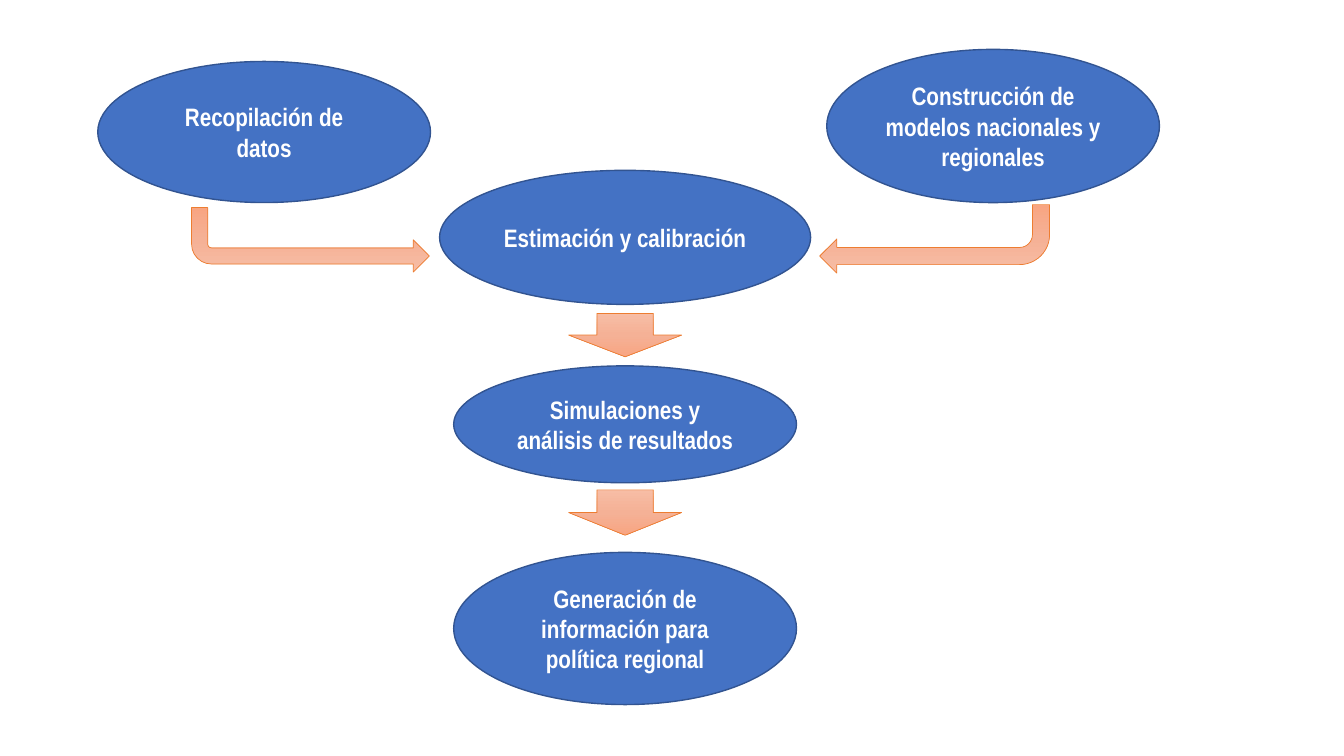
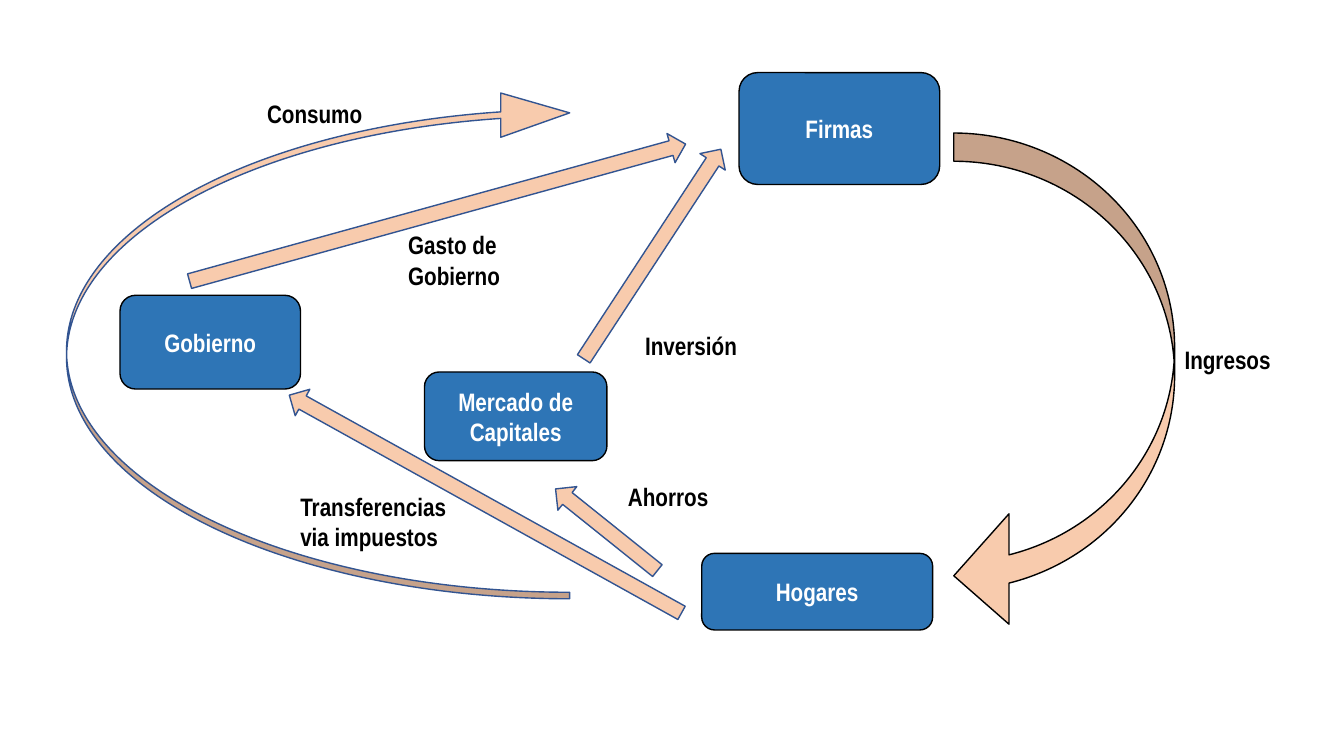
import copy
import math
from dataclasses import dataclass

import pptx
import pptx.util
import pptx.dml.color
import pptx.enum.shapes
import pptx.enum.text

Inches = pptx.util.Inches
SHAPE = pptx.enum.shapes.MSO_SHAPE
ALIGN = pptx.enum.text.PP_ALIGN


@dataclass(frozen=True)
class Theme:
    font: str = "Arial Narrow"
    size: int = 18
    light: str = "FFFFFF"
    dark: str = "000000"
    stage: str = "4472C4"
    outline: str = "325491"
    sector: str = "2E75B6"
    flow: str = "F8CBAD"
    step_line: str = "ED7D31"
    step_stops: tuple = ((0, "F7BDA5"), (0.5, "F5B196"), (1, "F8A582"))


THEME = Theme()
SLIDE_W, SLIDE_H = 13.33, 7.5

# Slide 1: stages as (text, left, top, width, height); the column is centred
COLUMN_X = 6.2
SOURCES = [
    ("Recopilación de datos", 0.97, 0.61, 3.3, 1.4),
    ("Construcción de modelos nacionales y regionales", 8.2, 0.49, 3.3, 1.52),
]
COLUMN = [  # text, top, width, height
    ("Estimación y calibración", 1.69, 3.68, 1.33),
    ("Simulaciones y análisis de resultados", 3.63, 3.4, 1.16),
    ("Generación de información para política regional", 5.48, 3.4, 1.51),
]
DOWN_STEPS = [(3.11, 0.43), (4.86, 0.45)]  # top, height
DOWN_STEP_W = 1.12

# Slide 2: sectors, flows between them and the names of the flows
SECTORS = [
    ("Gobierno", 1.19, 2.93, 1.79, 0.93),
    ("Hogares", 6.96, 5.49, 2.29, 0.76),
    ("Firmas", 7.33, 0.72, 1.99, 1.11),
    ("Mercado de Capitales", 4.21, 3.69, 1.81, 0.88),
]
STRAIGHT_FLOWS = [  # tail, tip
    ((6.52, 5.66), (5.51, 4.85)),
    ((5.79, 3.56), (7.15, 1.48)),
    ((1.88, 2.79), (6.8, 1.43)),
    ((6.76, 6.08), (2.87, 3.92)),
]
FLOW_THICKNESS = 0.3
FLOW_NAMES = [
    ("Ingresos", 11.65, 3.37, 1.31, 0.4),
    ("Inversión", 6.3, 3.23, 1.31, 0.4),
    ("Ahorros", 6.13, 4.73, 1.31, 0.4),
    ("Transferencias via impuestos", 2.88, 4.82, 1.96, 0.71),
    ("Consumo", 2.55, 0.93, 1.31, 0.4),
    ("Gasto de Gobierno", 3.95, 2.23, 1.44, 0.71),
]


def rgb(value):
    return pptx.dml.color.RGBColor.from_string(value)


def write(sp, text, color, align):
    tf = sp.text_frame
    tf.word_wrap = True
    tf.text = text
    p = tf.paragraphs[0]
    p.alignment = align
    font = p.runs[0].font
    font.name, font.size, font.bold = THEME.font, pptx.util.Pt(THEME.size), True
    font.color.rgb = rgb(color)


def add_shape(s, kind, box, fill, line, weight=1, rotation=0, adjust=()):
    """Add a preset shape; a fill of None leaves the fill to the caller."""
    sp = s.shapes.add_shape(kind, *map(Inches, box))
    sp.shadow.inherit = False
    sp.rotation = rotation
    for i, value in enumerate(adjust):
        sp.adjustments[i] = value
    if fill:
        sp.fill.solid()
        sp.fill.fore_color.rgb = rgb(fill)
    sp.line.color.rgb = rgb(line)
    sp.line.width = pptx.util.Pt(weight)
    return sp


def add_node(s, kind, text, box, fill, line):
    sp = add_shape(s, kind, box, fill, line)
    sp.text_frame.vertical_anchor = pptx.enum.text.MSO_ANCHOR.MIDDLE
    write(sp, text, THEME.light, ALIGN.CENTER)


def add_step(s, kind, box, **options):
    """Add a block arrow with the three-stop vertical gradient."""
    sp = add_shape(s, kind, box, None, THEME.step_line, 0.5, **options)
    sp.fill.gradient()
    sp.fill.gradient_angle = 270  # counter-clockwise: runs from top to bottom
    stop_list = sp._element.spPr.find(".//" + pptx.oxml.ns.qn("a:gsLst"))
    stop_list.append(copy.deepcopy(stop_list[0]))
    for stop, (position, color) in zip(sp.fill.gradient_stops, THEME.step_stops):
        stop.position = position
        stop.color.rgb = rgb(color)
    return sp


def add_straight_flow(s, tail, tip):
    dx, dy = tip[0] - tail[0], tip[1] - tail[1]
    length = math.hypot(dx, dy)
    left = (tail[0] + tip[0] - length) / 2
    top = (tail[1] + tip[1] - FLOW_THICKNESS) / 2
    add_shape(s, SHAPE.RIGHT_ARROW, (left, top, length, FLOW_THICKNESS),
              THEME.flow, THEME.outline,
              rotation=math.degrees(math.atan2(dy, dx)) % 360)


def build_process(s):
    stages = SOURCES + [(text, COLUMN_X - w / 2, top, w, h)
                        for text, top, w, h in COLUMN]
    for text, *box in stages:
        add_node(s, SHAPE.OVAL, text, box, THEME.stage, THEME.outline)
    add_step(s, SHAPE.BENT_ARROW, (8.13, 2.03, 2.28, 0.68), rotation=180)
    left_step = add_step(s, SHAPE.BENT_ARROW, (1.9, 2.06, 2.36, 0.64),
                         adjust=(0.25, 0.25, 0.25, 0.31))
    left_step._element.spPr.xfrm.set("flipV", "1")
    for top, h in DOWN_STEPS:
        add_step(s, SHAPE.DOWN_ARROW,
                 (COLUMN_X - DOWN_STEP_W / 2, top, DOWN_STEP_W, h))


def build_circular_flow(s):
    for text, *box in SECTORS:
        add_node(s, SHAPE.FLOWCHART_ALTERNATE_PROCESS, text, box,
                 THEME.sector, THEME.dark)
    add_shape(s, SHAPE.CURVED_LEFT_ARROW, (9.46, 1.32, 2.19, 4.94),
              THEME.flow, THEME.dark, adjust=(0.128, 0.5, 0.25))
    for tail, tip in STRAIGHT_FLOWS:
        add_straight_flow(s, tail, tip)
    add_shape(s, SHAPE.CURVED_LEFT_ARROW, (0.66, 0.9, 4.99, 5.04),
              THEME.flow, THEME.outline, rotation=180,
              adjust=(0.013, 0.088, 0.137))
    for text, *box in FLOW_NAMES:
        label = s.shapes.add_textbox(*map(Inches, box))
        write(label, text, THEME.dark, ALIGN.LEFT)
        label.text_frame.auto_size = pptx.enum.text.MSO_AUTO_SIZE.SHAPE_TO_FIT_TEXT


def main():
    prs = pptx.Presentation()
    prs.slide_width, prs.slide_height = Inches(SLIDE_W), Inches(SLIDE_H)
    blank = prs.slide_layouts[6]
    for build in (build_process, build_circular_flow):
        build(prs.slides.add_slide(blank))
    prs.save("out.pptx")


if __name__ == "__main__":
    main()
